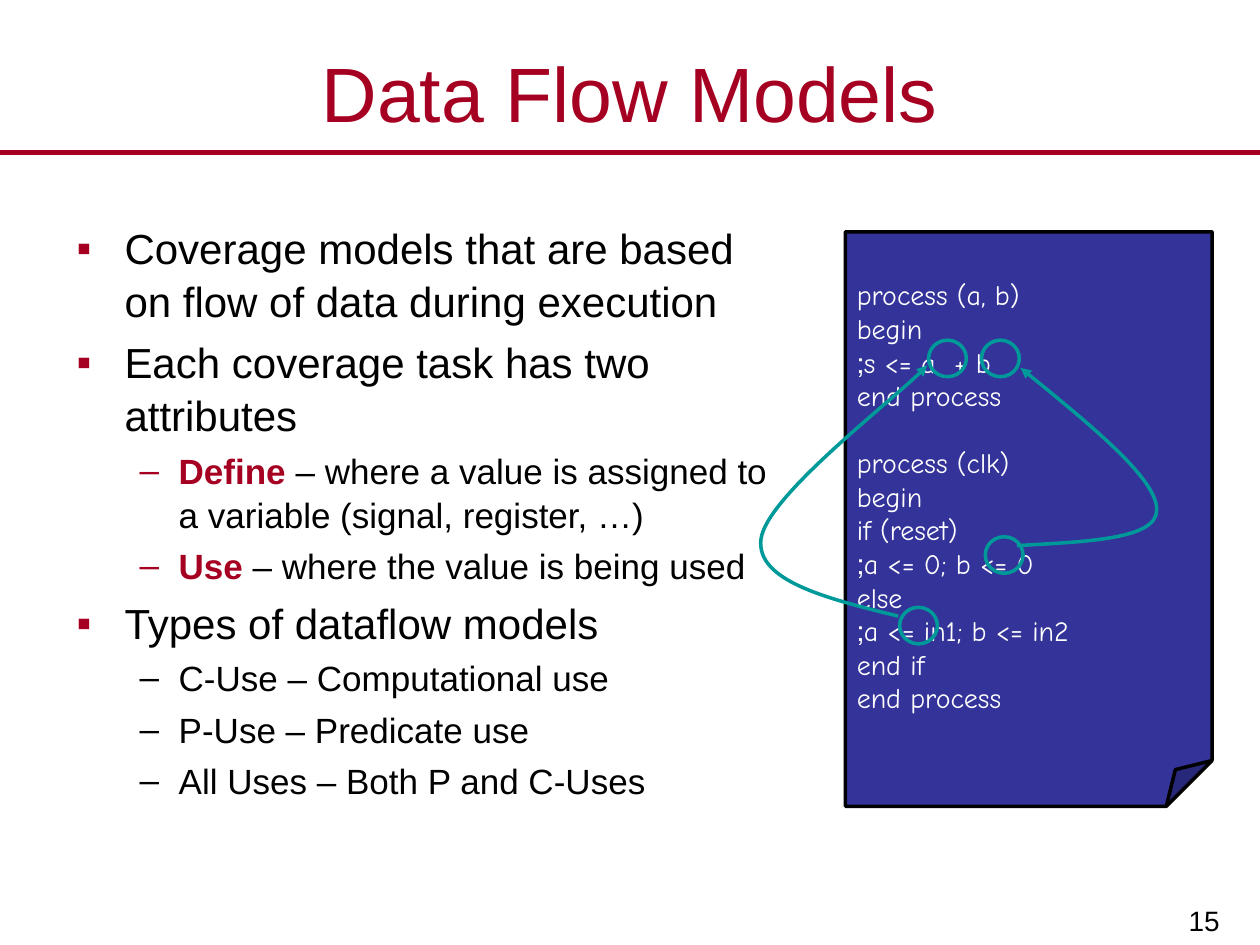
from typing import NamedTuple

from lxml.etree import SubElement
from pptx import Presentation
from pptx.dml.color import RGBColor
from pptx.enum.shapes import MSO_CONNECTOR, MSO_SHAPE
from pptx.enum.text import MSO_ANCHOR as ANCHOR, PP_ALIGN as ALIGN
from pptx.oxml.ns import qn
from pptx.util import Inches, Pt

CRIMSON = RGBColor(0xA5, 0x00, 0x21)
BLACK = RGBColor(0x00, 0x00, 0x00)
WHITE = RGBColor(0xFF, 0xFF, 0xFF)
NAVY = RGBColor(0x33, 0x33, 0x99)
TEAL = RGBColor(0x00, 0x99, 0x99)


class Level(NamedTuple):
    size: int
    indent: float
    hang: float
    bullet: str


class Item(NamedTuple):
    level: int
    text: str
    term: str = ""
    accent: bool = False


class Flow(NamedTuple):
    start: tuple
    curves: list


LEVELS = [Level(24, 0.38, 0.38, "▪"), Level(20, 0.81, 0.31, "–")]
ITEMS = [
    Item(0, "Coverage models that are based on flow of data during execution", accent=True),
    Item(0, "Each coverage task has two attributes", accent=True),
    Item(1, " – where a value is assigned to a variable (signal, register, …)", "Define", True),
    Item(1, "– where the value is being used", "Use ", True),
    Item(0, "Types of dataflow models", accent=True),
    Item(1, "C-Use – Computational use"),
    Item(1, "P-Use – Predicate use"),
    Item(1, "All Uses – Both P and C-Uses"),
]
PROCESSES = [
    ["process (a, b)", "begin", "   s <= a  + b;", "end process"],
    ["process (clk)", "begin", "   if (reset)", "      a <= 0; b <= 0;", "   else",
     "      a <= in1; b <= in2;", "   end if", "end process"],
]
MARKS = [(7.14, 4.82), (7.82, 4.26), (7.37, 2.7), (7.79, 2.7)]
FLOWS = [
    Flow((7.13, 4.89), [(6.56, 4.75), (6, 4.61), (6.04, 4.28),
                        (6.08, 3.95), (7.15, 3.13), (7.36, 2.9)]),
    Flow((8.07, 4.33), [(8.62, 4.3), (9.18, 4.28), (9.18, 4.05),
                        (9.19, 3.81), (8.64, 3.36), (8.1, 2.92)]),
]


def add_run(p, text: str, *, size: int, color=BLACK, bold=False, font="Arial"):
    r = p.add_run()
    r.text = text
    r.font.name, r.font.size, r.font.bold = font, Pt(size), bold
    r.font.color.rgb = color


def add_box(s, left: float, top: float, width: float, height: float, anchor):
    tf = s.shapes.add_textbox(Inches(left), Inches(top), Inches(width), Inches(height)).text_frame
    tf.word_wrap = True
    tf.vertical_anchor = anchor
    return tf


def next_paragraph(tf, index: int):
    return tf.add_paragraph() if index else tf.paragraphs[0]


def add_bullet(p, level: Level, color: RGBColor):
    ppr = p._p.get_or_add_pPr()
    ppr.set("marL", str(Inches(level.indent)))
    ppr.set("indent", str(-Inches(level.hang)))
    SubElement(SubElement(ppr, qn("a:buClr")), qn("a:srgbClr"), val=str(color))
    SubElement(ppr, qn("a:buFont"), typeface="Arial")
    SubElement(ppr, qn("a:buChar"), char=level.bullet)


def add_items(s):
    tf = add_box(s, 0.51, 1.7, 5.69, 5.14, ANCHOR.TOP)
    for i, item in enumerate(ITEMS):
        level = LEVELS[item.level]
        p = next_paragraph(tf, i)
        p.level = item.level
        add_bullet(p, level, CRIMSON if item.accent else BLACK)
        p.line_spacing = 1.05
        if i:
            p.space_before = Pt(level.size * 0.2)
        if item.term:
            add_run(p, item.term, size=level.size, color=CRIMSON, bold=True)
        add_run(p, item.text, size=level.size)


def add_code(s):
    sp = s.shapes.add_shape(MSO_SHAPE.FOLDED_CORNER, Inches(6.71), Inches(1.84),
                            Inches(2.91), Inches(4.56))
    guides = sp._element.find(".//" + qn("a:prstGeom")).get_or_add_avLst()
    SubElement(guides, qn("a:gd"), name="adj", fmla="val 12500")
    sp.shadow.inherit = False
    sp.fill.solid()
    sp.fill.fore_color.rgb = NAVY
    sp.line.color.rgb, sp.line.width = BLACK, Pt(2)
    tf = sp.text_frame
    tf.word_wrap = True
    tf.vertical_anchor = ANCHOR.MIDDLE
    tf.margin_left = tf.margin_right = Inches(0.09)
    tf.margin_top = tf.margin_bottom = Inches(0.04)
    for i, lines in enumerate(PROCESSES):
        for j, line in enumerate(lines):
            p = next_paragraph(tf, i + j)
            p.alignment = ALIGN.LEFT
            p._p.get_or_add_pPr().set("rtl", "1")
            if i and not j:
                p.space_before = Pt(19.2)
            add_run(p, line, size=16, color=WHITE, font="Comic Neue")


def style_outline(sp):
    sp.shadow.inherit = False
    sp.fill.background()
    sp.line.color.rgb, sp.line.width = TEAL, Pt(2)


def add_mark(s, left: float, top: float):
    sp = s.shapes.add_shape(MSO_SHAPE.OVAL, Inches(left), Inches(top), Inches(0.3), Inches(0.29))
    style_outline(sp)


def add_flow(s, flow: Flow):
    start, *points = [(Inches(x), Inches(y)) for x, y in (flow.start, *flow.curves)]
    builder = s.shapes.build_freeform(*start)
    builder.add_line_segments(points, close=False)
    sp = builder.convert_to_shape()
    style_outline(sp)
    outline = sp._element.find(".//" + qn("a:path"))
    segments = outline.findall(qn("a:lnTo"))
    for i in range(0, len(segments), 3):
        curve = SubElement(outline, qn("a:cubicBezTo"))
        for segment in segments[i:i + 3]:
            curve.append(segment[0])
            outline.remove(segment)
    SubElement(sp.line._get_or_add_ln(), qn("a:tailEnd"), type="triangle")


def main():
    prs = Presentation()
    prs.slide_width, prs.slide_height = Inches(10), Inches(7.5)
    s = prs.slides.add_slide(prs.slide_layouts[6])

    rule = s.shapes.add_connector(MSO_CONNECTOR.STRAIGHT, Inches(0), Inches(1.21),
                                  Inches(10), Inches(1.21))
    rule.line.color.rgb, rule.line.width = CRIMSON, Pt(3)
    SubElement(rule._element.spPr, qn("a:effectLst"))

    number = add_box(s, 7.8, 6.93, 1.99, 0.57, ANCHOR.BOTTOM)
    number.margin_left = number.margin_right = Inches(0.11)
    number.margin_top = number.margin_bottom = Inches(0.06)
    title = add_box(s, 0, 0.3, 10, 0.86, ANCHOR.MIDDLE)
    number.paragraphs[0].alignment = ALIGN.RIGHT
    title.paragraphs[0].alignment = ALIGN.CENTER
    add_run(number.paragraphs[0], "15", size=16)
    add_run(title.paragraphs[0], "Data Flow Models", size=44, color=CRIMSON)

    add_items(s)
    add_code(s)
    for left, top in MARKS:
        add_mark(s, left, top)
    for flow in FLOWS:
        add_flow(s, flow)
    prs.save("out.pptx")


if __name__ == "__main__":
    main()
